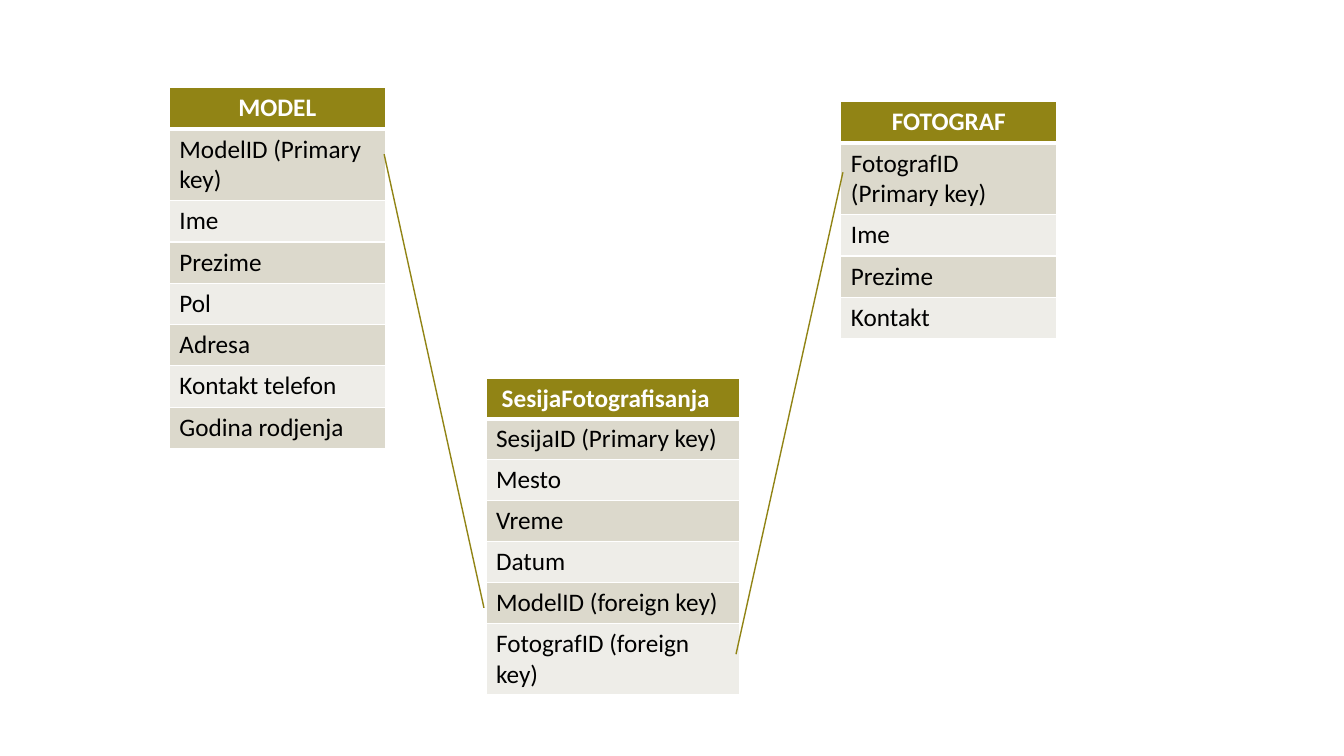
import pptx
import pptx.dml.color
import pptx.enum.shapes
import pptx.enum.text
import pptx.oxml
import pptx.oxml.ns
import pptx.util
from dataclasses import dataclass

Inches = pptx.util.Inches
Pt = pptx.util.Pt


@dataclass(frozen=True)
class Theme:
    font: str = "Calibri"
    size: int = 18
    accent: str = "918415"
    bands: tuple = ("DCD9CC", "EEEDE8")
    header_text: str = "FFFFFF"
    body_text: str = "000000"
    border: str = "FFFFFF"
    thin: int = 1
    thick: int = 3


theme = Theme()
rgb = pptx.dml.color.RGBColor.from_string
align = pptx.enum.text.PP_ALIGN


def add_border(cell, side, width):
    """Draw one edge of a cell; edges come before the fill in the cell XML."""
    cell._tc.get_or_add_tcPr().append(pptx.oxml.parse_xml(
        f'<a:ln{side} {pptx.oxml.ns.nsdecls("a")} w="{Pt(width)}"><a:solidFill>'
        f'<a:srgbClr val="{theme.border}"/></a:solidFill></a:ln{side}>'))


deck = pptx.Presentation()
deck.slide_width, deck.slide_height = Inches(13.33), Inches(7.5)
slide = deck.slides.add_slide(deck.slide_layouts[6])

# Entities: left, top, width, row height, heading alignment, heading and fields
entities = [
    (1.68, 0.87, 2.14, 0.41, align.CENTER,
     ["MODEL", "ModelID (Primary key)", "Ime", "Prezime", "Pol", "Adresa",
      "Kontakt telefon", "Godina rodjenja"]),
    (8.34, 1.01, 2.14, 0.41, align.CENTER,
     ["FOTOGRAF", "FotografID (Primary key)", "Ime", "Prezime", "Kontakt"]),
    (4.82, 3.75, 2.52, 0.4, align.LEFT,
     [" SesijaFotografisanja", "SesijaID (Primary key)", "Mesto", "Vreme", "Datum",
      "ModelID (foreign key)", "FotografID (foreign key)"]),
]
for left, top, width, row_height, heading_align, fields in entities:
    entity = slide.shapes.add_table(
        len(fields), 1, Inches(left), Inches(top),
        Inches(width), Inches(row_height * len(fields))).table
    for index, field in enumerate(fields):
        is_heading = index == 0
        entity.rows[index].height = Inches(row_height)
        cell = entity.cell(index, 0)

        # White edges, thicker between heading and fields
        add_border(cell, "L", theme.thin)
        add_border(cell, "R", theme.thin)
        add_border(cell, "T", theme.thick if index == 1 else theme.thin)
        add_border(cell, "B", theme.thick if is_heading else theme.thin)

        # Heading colour, then alternating bands
        cell.fill.solid()
        cell.fill.fore_color.rgb = rgb(
            theme.accent if is_heading else theme.bands[(index - 1) % 2])

        cell.text_frame.text = field
        paragraph = cell.text_frame.paragraphs[0]
        paragraph.alignment = heading_align if is_heading else align.LEFT
        font = paragraph.runs[0].font
        font.name, font.size, font.bold = theme.font, Pt(theme.size), is_heading
        font.color.rgb = rgb(theme.header_text if is_heading else theme.body_text)

# Relations between primary and foreign keys
relations = [(3.81, 1.53, 4.8, 6.03), (7.3, 6.49, 8.36, 1.71)]
for ends in relations:
    relation = slide.shapes.add_connector(
        pptx.enum.shapes.MSO_CONNECTOR.STRAIGHT, *map(Inches, ends))
    relation.line.color.rgb = rgb(theme.accent)
    relation.line.width = Pt(theme.thin)
    relation._element.spPr.append(pptx.oxml.parse_xml(
        f'<a:effectLst {pptx.oxml.ns.nsdecls("a")}/>'))

deck.save("out.pptx")
